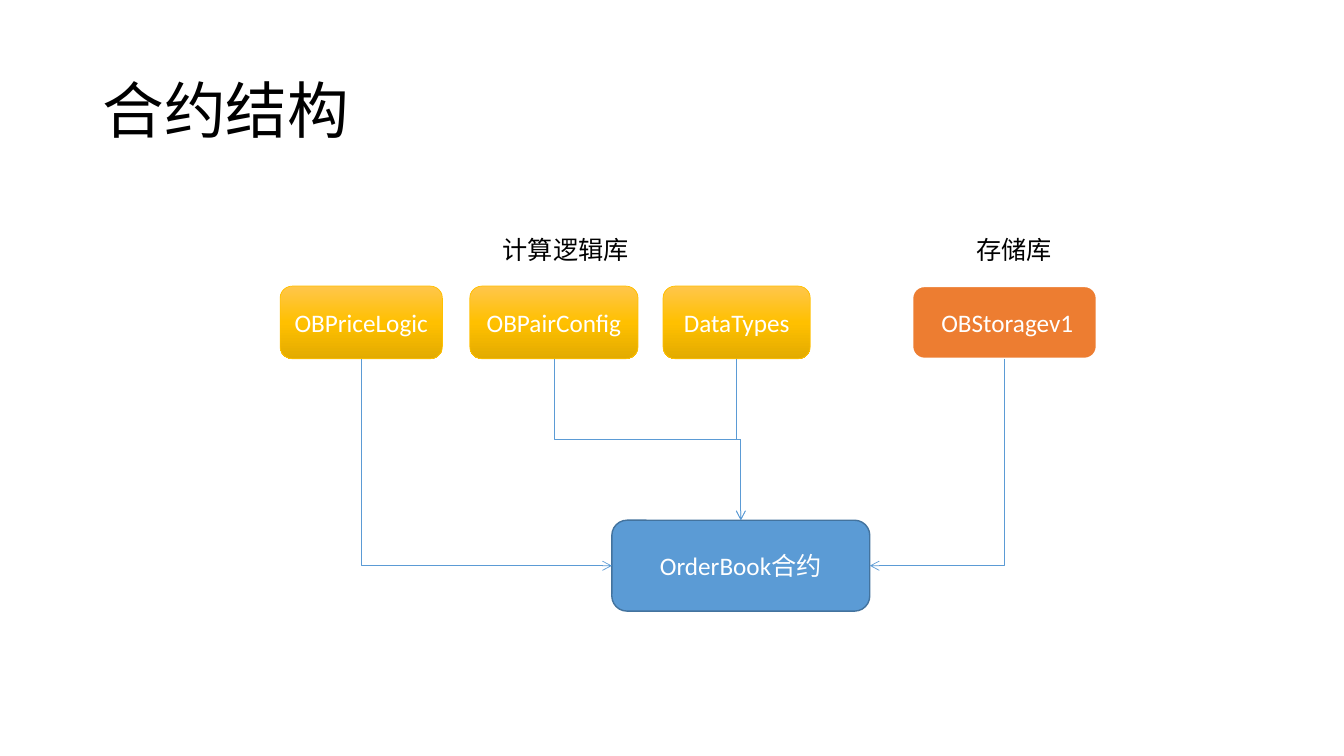
from copy import deepcopy

from lxml.etree import SubElement
from pptx import Presentation
from pptx.dml.color import RGBColor
from pptx.enum.shapes import MSO_CONNECTOR, MSO_SHAPE
from pptx.enum.text import MSO_ANCHOR, MSO_AUTO_SIZE, PP_ALIGN
from pptx.oxml.ns import qn
from pptx.util import Cm, Pt

BLACK = RGBColor(0x00, 0x00, 0x00)
WHITE = RGBColor(0xFF, 0xFF, 0xFF)
BLUE = RGBColor(0x5B, 0x9B, 0xD5)
NAVY = RGBColor(0x43, 0x73, 0x9E)
ORANGE = RGBColor(0xED, 0x7D, 0x31)
LIGHT = RGBColor(0xFF, 0xC6, 0x4B)
GOLD = RGBColor(0xFF, 0xC0, 0x00)
DARK = RGBColor(0xE3, 0xAB, 0x00)

ROW_TOP, ROW_HEIGHT = 7.21, 1.83
LEFT, BOTTOM, RIGHT, TOP = 1, 2, 3, 0
MIDDLE = {"vertical_anchor": MSO_ANCHOR.MIDDLE, "word_wrap": False}
LABEL = {"word_wrap": False, "auto_size": MSO_AUTO_SIZE.SHAPE_TO_FIT_TEXT}
TITLE = {"vertical_anchor": MSO_ANCHOR.MIDDLE, "word_wrap": True}


def apply(target, values):
    """Set each named value on the target."""
    for name, value in values.items():
        setattr(target, name, value)


def write(shape, text, color, size, frame, para):
    """Put one formatted paragraph in a shape."""
    apply(shape.text_frame, frame)
    line = shape.text_frame.paragraphs[0]
    apply(line, para)
    run = line.add_run()
    run.text = text
    apply(run.font, {"name": "Calibri", "size": Pt(size)})
    run.font.color.rgb = color


def add_text(slide, text, place, size, frame, para):
    """Add a black text box."""
    box = slide.shapes.add_textbox(*map(Cm, place))
    write(box, text, BLACK, size, frame, para)


def shade(shape, colors):
    """Fill a shape with evenly spaced colours from top to bottom."""
    fill = shape.fill
    fill.gradient()
    fill.gradient_angle = 270
    stops = shape.element.spPr.find(".//" + qn("a:gsLst"))
    while len(stops) < len(colors):
        stops.append(deepcopy(stops[0]))
    for index, (stop, color) in enumerate(zip(fill.gradient_stops, colors)):
        stop.color.rgb = color
        stop.position = index / (len(colors) - 1)


def add_box(slide, text, place, colors, edge, width):
    """Add a rounded box with centred white text."""
    box = slide.shapes.add_shape(MSO_SHAPE.FLOWCHART_ALTERNATE_PROCESS, *map(Cm, place))
    box.shadow.inherit = False
    if len(colors) > 1:
        shade(box, colors)
    else:
        box.fill.solid()
        box.fill.fore_color.rgb = colors[0]
    box.line.color.rgb = edge
    box.line.width = Pt(width)
    write(box, text, WHITE, 18, MIDDLE, {"alignment": PP_ALIGN.CENTER})
    return box


def add_arrow(slide, start, end, site):
    """Add a bent arrow that leaves a box downward."""
    link = slide.shapes.add_connector(MSO_CONNECTOR.ELBOW, 0, 0, 0, 0)
    link.begin_connect(start, BOTTOM)
    link.end_connect(end, site)
    across, down = link.end_x - link.begin_x, link.end_y - link.begin_y
    mid_x, mid_y = link.begin_x + across // 2, link.begin_y + down // 2
    wide = abs(across)
    props = link.element.spPr
    frame = props.find(qn("a:xfrm"))
    for name in ("flipH", "flipV"):
        frame.attrib.pop(name, None)
    frame.set("rot", "5400000")
    if across > 0:
        frame.set("flipV", "1")
    apply(link, {"left": mid_x - down // 2, "top": mid_y - wide // 2,
                 "width": down, "height": wide})
    bend = "bentConnector3" if site == TOP else "bentConnector2"
    props.find(qn("a:prstGeom")).set("prst", bend)
    link.line.color.rgb = BLUE
    link.line.width = Pt(0.5)
    SubElement(props.find(qn("a:ln")), qn("a:tailEnd"), type="arrow")
    SubElement(props, qn("a:effectLst"))


def main():
    """Build the contract structure slide."""
    deck = Presentation()
    apply(deck, {"slide_width": Cm(33.87), "slide_height": Cm(19.05)})
    slide = deck.slides.add_slide(deck.slide_layouts[6])
    add_text(slide, "合约结构", (2.34, 1.02, 29.21, 3.68), 44, TITLE, {"line_spacing": 0.9})
    for text, left, width in (("计算逻辑库", 12.42, 3.68), ("存储库", 24.36, 2.41)):
        add_text(slide, text, (left, 5.77, width, 1.02), 18, LABEL, {})

    book = add_box(slide, "OrderBook合约", (15.42, 13.11, 6.5, 2.29), [BLUE], NAVY, 1)
    logic = ([LIGHT, GOLD, DARK], GOLD, 0.5)
    store = ([ORANGE], WHITE, 1.5)
    parts = (
        ("OBPriceLogic", 7.06, 4.09, logic, LEFT),
        ("OBPairConfig", 11.84, 4.24, logic, TOP),
        ("DataTypes", 16.71, 3.71, logic, TOP),
        (" OBStoragev1", 22.99, 4.65, store, RIGHT),
    )
    for text, left, width, style, site in parts:
        box = add_box(slide, text, (left, ROW_TOP, width, ROW_HEIGHT), *style)
        add_arrow(slide, box, book, site)
    deck.save("out.pptx")


main()
